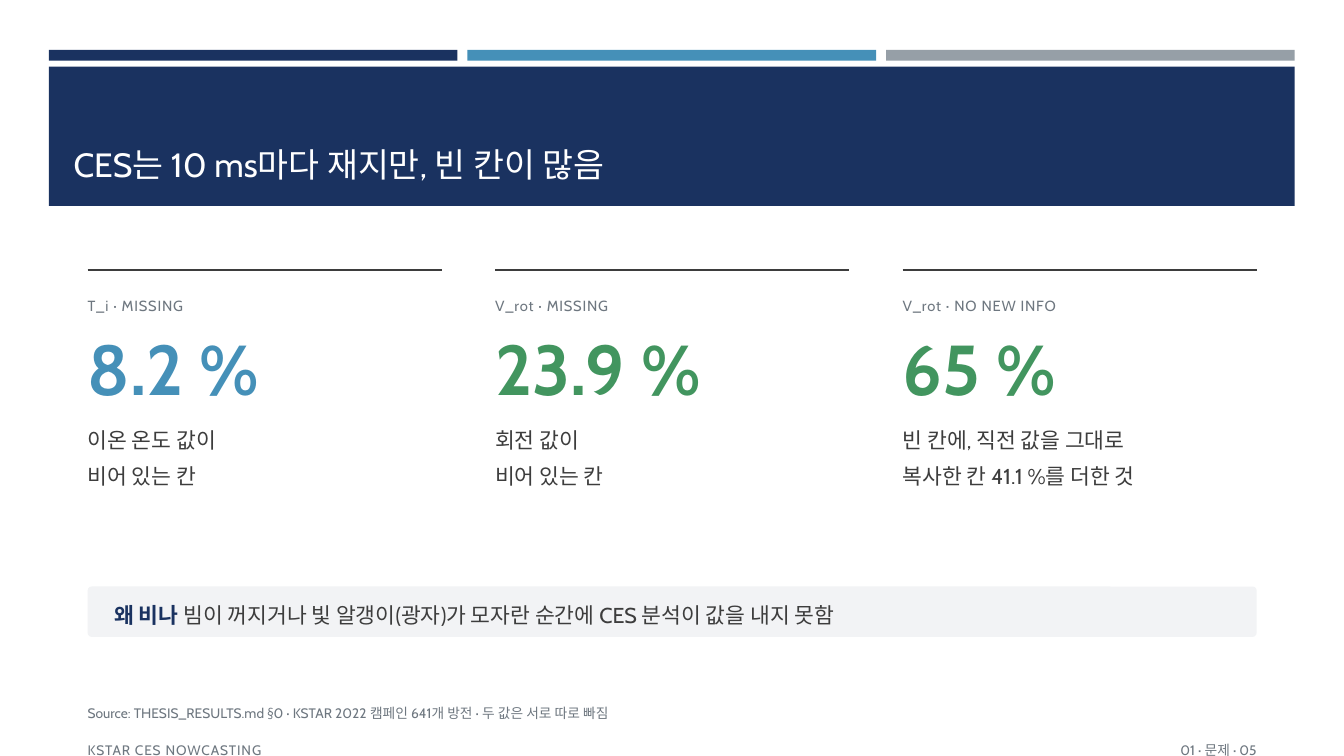
from pptx import Presentation
from pptx.dml.color import RGBColor
from pptx.enum.shapes import MSO_CONNECTOR as Connector, MSO_SHAPE as Preset
from pptx.enum.text import MSO_ANCHOR as Anchor, MSO_AUTO_SIZE as AutoSize, PP_ALIGN as Align
from pptx.oxml.ns import qn
from pptx.util import Cm, Pt

FONT = "Cabin"
COLORS = {"navy": "1A3260", "blue": "4590B8", "silver": "969FA7", "green": "42955F",
          "ink": "3D3D3D", "muted": "6E7780", "panel": "F2F3F5", "white": "FFFFFF"}
MARGIN, CONTENT_WIDTH = 2.21, 29.46
STATS = [
    ("T_i · MISSING", "8.2 %", "blue", ["이온 온도 값이", "비어 있는 칸"]),
    ("V_rot · MISSING", "23.9 %", "green", ["회전 값이", "비어 있는 칸"]),
    ("V_rot · NO NEW INFO", "65 %", "green", ["빈 칸에, 직전 값을 그대로", "복사한 칸 41.1 %를 더한 것"]),
]


def color(name):
    """Return the palette colour with the given name."""
    return RGBColor.from_string(COLORS[name])


def style(font, size, tone, bold=False):
    """Set typeface, size, colour and weight of a font."""
    font.name, font.size, font.bold = FONT, Pt(size), bold
    font.color.rgb = color(tone)


def add_block(page, left, top, width, height, tone, preset=Preset.RECTANGLE):
    """Add a filled shape without outline or shadow."""
    block = page.shapes.add_shape(preset, Cm(left), Cm(top), Cm(width), Cm(height))
    block.shadow.inherit = False
    block.fill.solid()
    block.fill.fore_color.rgb = color(tone)
    block.line.fill.background()
    return block


def add_frame(page, left, top, width, height):
    """Add a wrapping text box without insets and return its frame."""
    frame = page.shapes.add_textbox(Cm(left), Cm(top), Cm(width), Cm(height)).text_frame
    frame.word_wrap = True
    frame.margin_left = frame.margin_top = frame.margin_right = frame.margin_bottom = 0
    return frame


def add_text(page, left, top, width, height, lines, size, tone,
             bold=False, spacing=1.25, tracking=0, align=Align.LEFT):
    """Add a text box whose paragraphs share one style."""
    frame = add_frame(page, left, top, width, height)
    for index, line in enumerate(lines):
        para = frame.add_paragraph() if index else frame.paragraphs[0]
        para.text, para.alignment, para.line_spacing = line, align, spacing
        style(para.font, size, tone, bold)
        if tracking:
            para._p.pPr.find(qn("a:defRPr")).set("spc", str(tracking))


def add_header(page, left, top, width, text):
    """Place the three bars, the title band and the title."""
    gap = 0.25
    bar_width = (width - 2 * gap) / 3
    for index, tone in enumerate(["navy", "blue", "silver"]):
        add_block(page, left + index * (bar_width + gap), top, bar_width, 0.27, tone)
    add_block(page, left, top + 0.42, width, 3.51, "navy")
    title = page.shapes.title
    title.left, title.top = Cm(left + 0.37), Cm(top + 0.76)
    title.width, title.height = Cm(width - 0.75), Cm(2.74)
    title.element.getparent().append(title.element)
    frame = title.text_frame
    frame.text = text
    frame.vertical_anchor, frame.auto_size = Anchor.BOTTOM, AutoSize.NONE
    para = frame.paragraphs[0]
    para.alignment = Align.LEFT
    style(para.font, 24, "white")


def add_stat(page, left, top, width, label, value, tone, lines):
    """Place one figure with its rule, label and explanation."""
    rule = page.shapes.add_connector(Connector.STRAIGHT, Cm(left), Cm(top), Cm(left + width), Cm(top))
    rule.line.color.rgb, rule.line.width = color("ink"), Pt(1.25)
    properties = rule._element.spPr
    properties.append(properties.makeelement(qn("a:effectLst"), {}))
    add_text(page, left, top + 0.56, width, 0.58, [label], 10.5, "muted", tracking=60)
    add_text(page, left, top + 1.37, width, 2.21, [value], 50.4, tone, bold=True, spacing=1.0)
    add_text(page, left, top + 3.68, width, 3.05, lines, 15.4, "ink", spacing=1.4)


def add_callout(page, left, top, width, height, heading, text):
    """Place the rounded panel with a bold heading and its sentence."""
    panel = add_block(page, left, top, width, height, "panel", Preset.ROUNDED_RECTANGLE)
    panel.adjustments[0] = 0.08
    frame = add_frame(page, left + 0.67, top, width - 1.34, height)
    frame.vertical_anchor = Anchor.MIDDLE
    para = frame.paragraphs[0]
    para.line_spacing = 1.25
    for words, tone, bold in [(heading + " ", "navy", True), (text, "ink", False)]:
        span = para.add_run()
        span.text = words
        style(span.font, 15.4, tone, bold)


def add_footer(page, left, top, width):
    """Place the source line, the running title and the page mark."""
    half = 13.55
    add_text(page, left, top, width, 0.69,
             ["Source: THESIS_RESULTS.md §0 · KSTAR 2022 캠페인 641개 방전 · 두 값은 서로 따로 빠짐"],
             9.8, "muted")
    add_text(page, left, top + 0.94, half, 0.51, ["KSTAR CES NOWCASTING"], 9.8, "muted", tracking=60)
    add_text(page, left + width - half, top + 0.94, half, 0.51, ["01 · 문제 · 05"],
             9.8, "muted", align=Align.RIGHT)


def main():
    """Build the slide and save the deck."""
    deck = Presentation()
    deck.slide_width, deck.slide_height = Cm(33.87), Cm(19.05)
    page = deck.slides.add_slide(deck.slide_layouts.get_by_name("Title Only"))
    add_header(page, 1.23, 1.26, 31.4, "CES는 10 ms마다 재지만, 빈 칸이 많음")
    stat_width = 8.92
    pitch = (CONTENT_WIDTH - stat_width) / (len(STATS) - 1)
    for index, stat in enumerate(STATS):
        add_stat(page, MARGIN + index * pitch, 6.81, stat_width, *stat)
    add_callout(page, MARGIN, 14.78, CONTENT_WIDTH, 1.27, "왜 비나",
                "빔이 꺼지거나 빛 알갱이(광자)가 모자란 순간에 CES 분석이 값을 내지 못함")
    add_footer(page, MARGIN, 17.65, CONTENT_WIDTH)
    deck.save("out.pptx")


if __name__ == "__main__":
    main()
